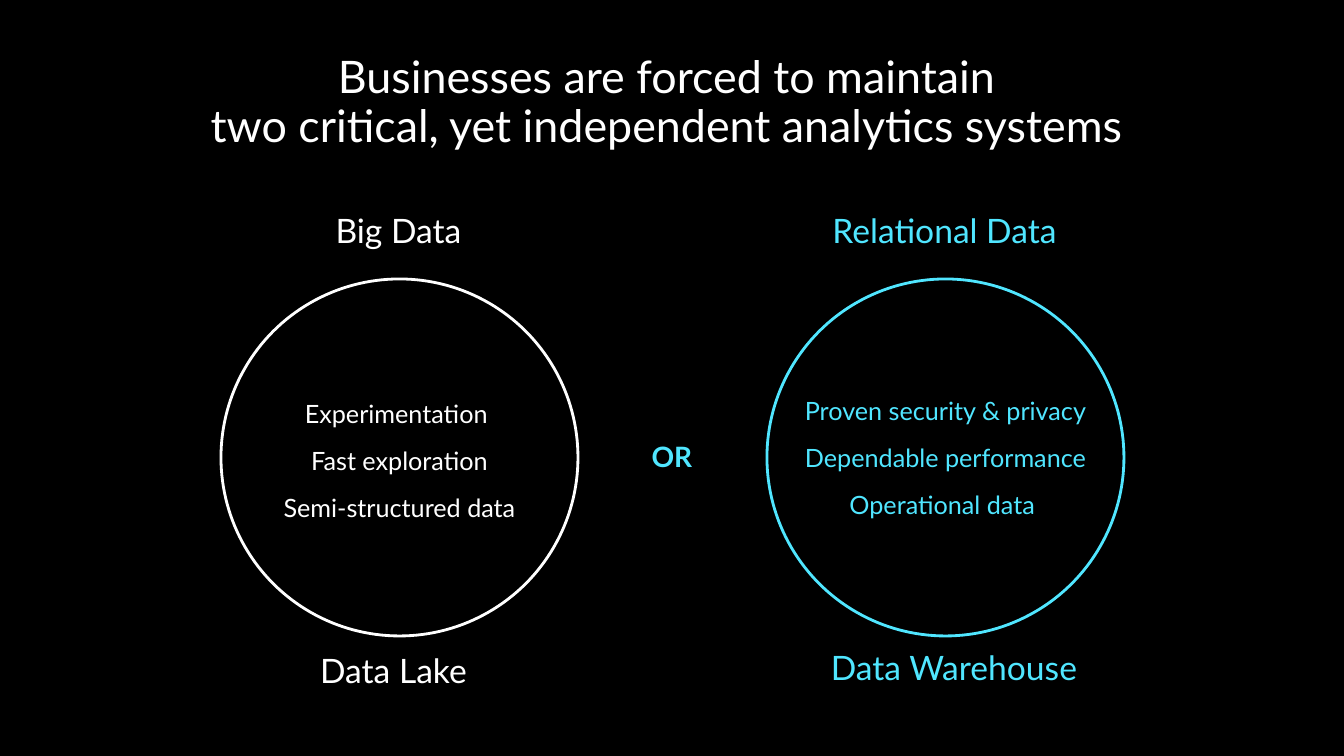
from pptx import Presentation
from pptx import util as u
from pptx.dml.color import RGBColor
from pptx.enum import shapes, text

# Content: text boxes are (left, top, width, height) in px
TITLE = ("Businesses are forced to maintain \vtwo critical, yet independent analytics systems ",
         (65, 50, 1215, 115))
CHOICE = ("OR", (565, 428, 214, 64))
SYSTEMS = [
    {"color": "white", "circle_left": 221,
     "labels": [("Big Data", (291, 199, 215, 70)),
                ("Data Lake", (286, 638, 215, 70))],
     "traits": (["Experimentation ", "Fast exploration", "Semi-structured data"],
                (221, 378, 357, 164))},
    {"color": "cyan", "circle_left": 767,
     "labels": [("Relational Data", (794, 199, 301, 70)),
                ("Data Warehouse", (802, 636, 304, 70))],
     "traits": (["Proven security & privacy", "Dependable performance", "Operational data "],
                (783, 375, 325, 164))},
]
CIRCLE_TOP, CIRCLE_SIZE = 279, 357
TITLE_INSETS, LABEL_INSETS, NO_INSETS = (10, 5), (20, 16), (0, 0)

THEME = {
    "font": "Lato",
    "black": RGBColor(0, 0, 0),
    "white": RGBColor(255, 255, 255),
    "cyan": RGBColor(0x50, 0xE6, 0xFF),
    "title": 32, "label": 24, "choice": 20, "trait": 18, "line": 2,
}


def px(n):
    return u.Inches(n / 100.8)


def add_text(slide, lines, box, size, color, insets, spacing=None, after=None,
             bold=None, anchor=text.MSO_ANCHOR.TOP):
    tf = slide.shapes.add_textbox(*map(px, box)).text_frame
    tf.word_wrap = True
    tf.vertical_anchor = anchor
    tf.margin_left = tf.margin_right = px(insets[0])
    tf.margin_top = tf.margin_bottom = px(insets[1])
    tf.text = "\n".join(lines)
    for p in tf.paragraphs:
        p.alignment = text.PP_ALIGN.CENTER
        p.line_spacing = spacing
        p.space_after = after
        p.font.name = THEME["font"]
        p.font.size = u.Pt(THEME[size])
        p.font.bold = bold
        p.font.color.rgb = THEME[color]


def add_circle(slide, left, color):
    sp = slide.shapes.add_shape(shapes.MSO_SHAPE.OVAL, px(left), px(CIRCLE_TOP),
                                px(CIRCLE_SIZE), px(CIRCLE_SIZE))
    sp.shadow.inherit = False
    sp.fill.background()
    sp.line.color.rgb = THEME[color]
    sp.line.width = u.Pt(THEME["line"])


def main():
    prs = Presentation()
    prs.slide_width, prs.slide_height = px(1344), px(756)
    slide = prs.slides.add_slide(prs.slide_layouts[6])
    slide.background.fill.solid()
    slide.background.fill.fore_color.rgb = THEME["black"]

    # Title
    title, box = TITLE
    add_text(slide, [title], box, "title", "white", TITLE_INSETS, spacing=0.9)

    # Two systems: circle, traits inside, labels above and below
    for system in SYSTEMS:
        color = system["color"]
        add_circle(slide, system["circle_left"], color)
        traits, box = system["traits"]
        add_text(slide, traits, box, "trait", color, NO_INSETS,
                 after=u.Pt(12), anchor=text.MSO_ANCHOR.MIDDLE)
        for label, box in system["labels"]:
            add_text(slide, [label], box, "label", color, LABEL_INSETS, spacing=0.9)

    # Choice between them
    choice, box = CHOICE
    add_text(slide, [choice], box, "choice", "cyan", LABEL_INSETS,
             spacing=0.9, after=u.Pt(6), bold=True)

    prs.save("out.pptx")


if __name__ == "__main__":
    main()
